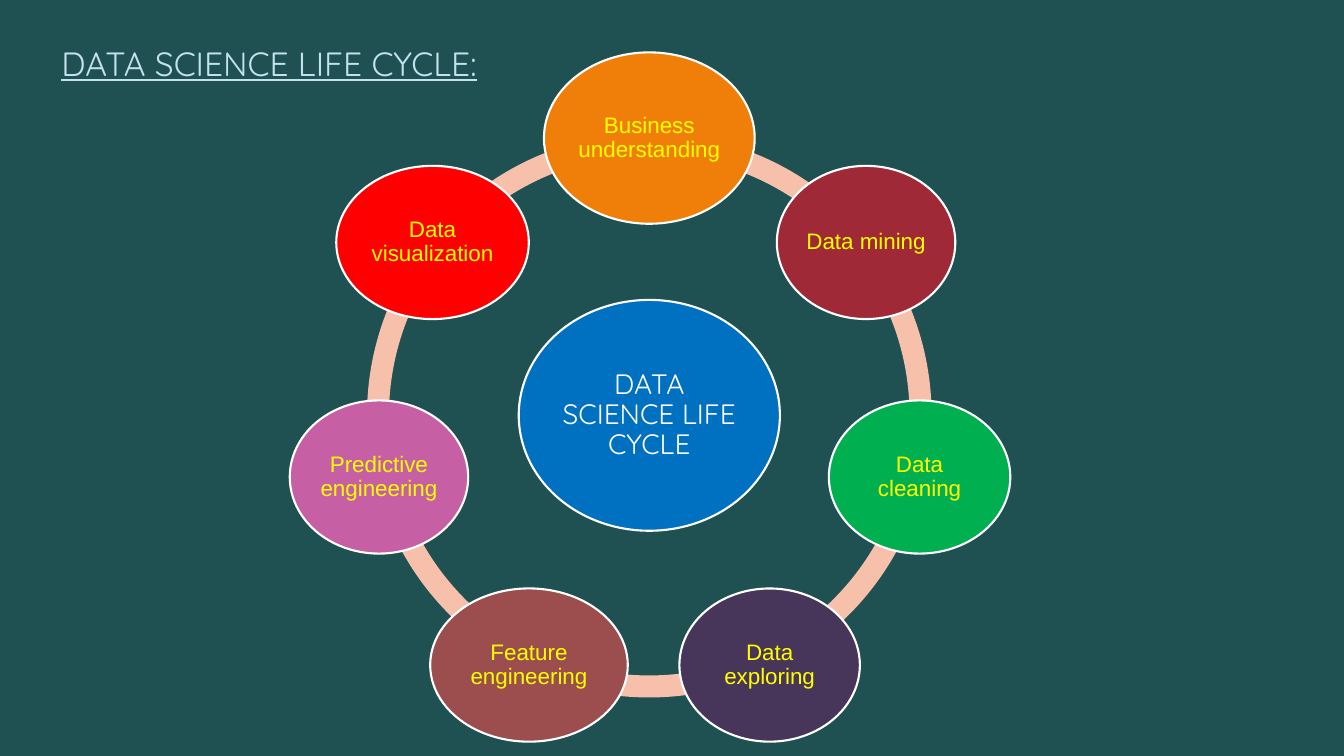
from math import cos, radians, sin

from pptx import Presentation
from pptx.dml.color import RGBColor
from pptx.enum.shapes import MSO_SHAPE
from pptx.enum.text import MSO_ANCHOR, PP_ALIGN
from pptx.util import Inches, Pt

ELLIPSE = MSO_SHAPE.OVAL
BLOCK_ARC = MSO_SHAPE.BLOCK_ARC
MIDDLE = MSO_ANCHOR.MIDDLE
CENTER = PP_ALIGN.CENTER

STAGES = [
    ("Business understanding", "F07F09", 2.09, 1.7),
    ("Data mining", "9F2936", 1.77, 1.52),
    ("Data cleaning", "00B050", 1.8, 1.52),
    ("Data exploring", "48365A", 1.79, 1.52),
    ("Feature engineering", "9C4E4E", 1.96, 1.52),
    ("Predictive engineering", "C75FA4", 1.77, 1.52),
    ("Data visualization", "FF0000", 1.91, 1.52),
]
RING_THICKNESS = 0.039
ORBIT_INSET = 0.05
ADJUSTMENT_PER_DEGREE = 0.6


def color(hex_string):
    return RGBColor.from_string(hex_string)


def format_text(paragraph, font_name, size, hex_string, underline=False):
    for run in paragraph.runs:
        run.font.name = font_name
        run.font.size = Pt(size)
        run.font.color.rgb = color(hex_string)
        run.font.underline = underline


def add_filled_shape(slide, kind, left, top, width, height, fill):
    shape = slide.shapes.add_shape(
        kind, Inches(left), Inches(top), Inches(width), Inches(height))
    shape.shadow.inherit = False
    shape.fill.solid()
    shape.fill.fore_color.rgb = color(fill)
    shape.line.fill.background()
    return shape


def add_bubble(slide, center_x, center_y, width, height, fill, label,
               font_name, size, font_color, inset):
    bubble = add_filled_shape(slide, ELLIPSE, center_x - width / 2,
                              center_y - height / 2, width, height, fill)
    bubble.line.color.rgb = color("FFFFFF")
    bubble.line.width = Pt(1.5)
    text_frame = bubble.text_frame
    text_frame.text = label
    text_frame.word_wrap = True
    text_frame.vertical_anchor = MIDDLE
    text_frame.margin_left = text_frame.margin_right = Inches(inset)
    text_frame.margin_top = text_frame.margin_bottom = Inches(inset)
    paragraph = text_frame.paragraphs[0]
    paragraph.alignment = CENTER
    paragraph.line_spacing = 0.9
    format_text(paragraph, font_name, size, font_color)


def add_life_cycle(slide, left, top, diameter):
    center_x, center_y = left + diameter / 2, top + diameter / 2
    orbit = diameter / 2 - ORBIT_INSET
    step = 360 / len(STAGES)
    angles = [270 + index * step for index in range(len(STAGES))]

    for angle in reversed(angles):
        arc = add_filled_shape(slide, BLOCK_ARC, left, top,
                               diameter, diameter, "F6C0AB")
        arc.adjustments[0] = angle % 360 * ADJUSTMENT_PER_DEGREE
        arc.adjustments[1] = (angle + step) % 360 * ADJUSTMENT_PER_DEGREE
        arc.adjustments[2] = RING_THICKNESS

    add_bubble(slide, center_x, center_y, 2.59, 2.29, "0070C0",
               "DATA SCIENCE LIFE CYCLE", "Quicksand", 20, "FFFFFF", 0.03)
    for angle, (label, fill, width, height) in zip(angles, STAGES):
        add_bubble(slide, center_x + orbit * cos(radians(angle)),
                   center_y + orbit * sin(radians(angle)), width, height,
                   fill, label, "Arial", 16, "FFFF00", 0.02)


def add_title(slide, left, top, width, height):
    title = slide.shapes.add_textbox(
        Inches(left), Inches(top), Inches(width), Inches(height))
    title.text_frame.word_wrap = True
    title.text_frame.text = "DATA SCIENCE LIFE CYCLE:"
    format_text(title.text_frame.paragraphs[0], "Quicksand", 24, "C4E1F2", True)


def build_slide(presentation):
    slide = presentation.slides.add_slide(presentation.slide_layouts[6])
    slide.background.fill.solid()
    slide.background.fill.fore_color.rgb = color("205152")
    add_life_cycle(slide, 3.64, 1.32, 5.6)
    add_title(slide, 0.51, 0.38, 5.21, 0.5)


presentation = Presentation()
presentation.slide_width = Inches(13.33)
presentation.slide_height = Inches(7.5)
build_slide(presentation)
presentation.save("out.pptx")
